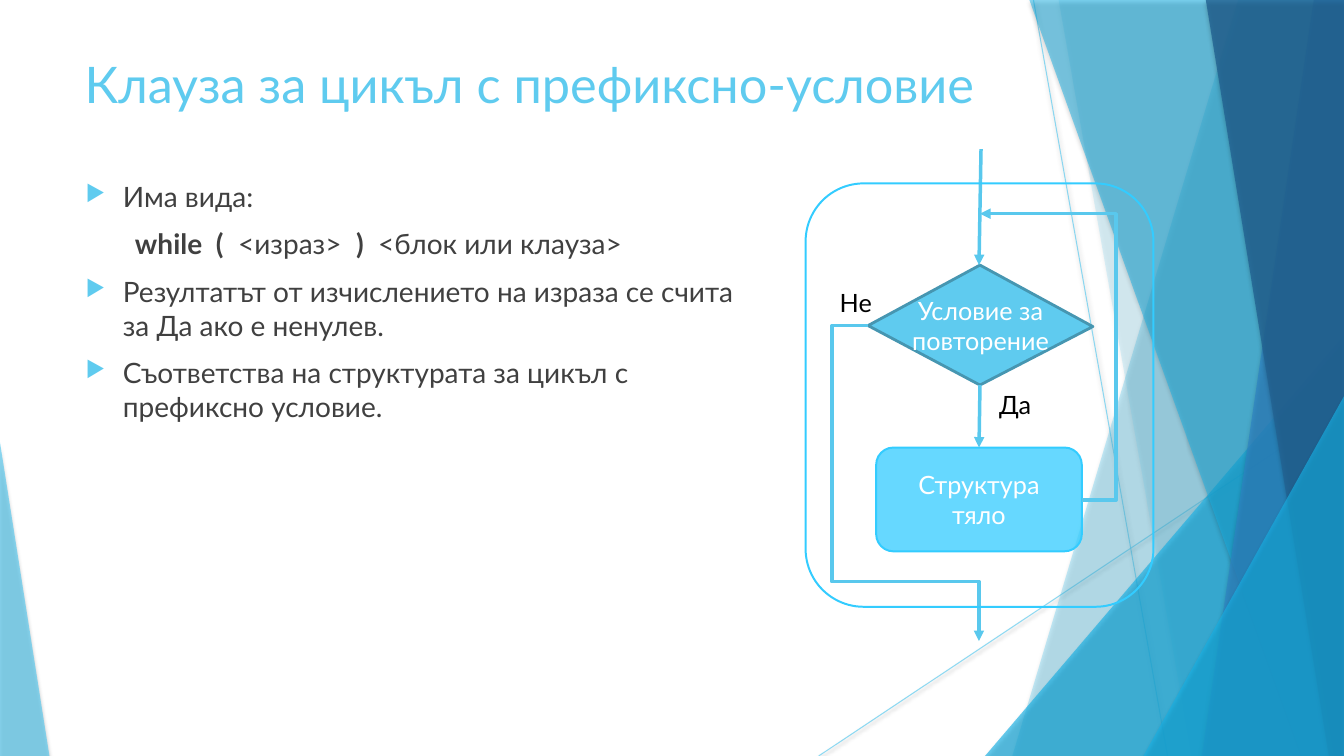
"""Build a slide on the pre-condition loop clause with its flowchart."""
from lxml import etree
from pptx import Presentation
from pptx.dml.color import RGBColor
from pptx.enum.shapes import MSO_CONNECTOR, MSO_SHAPE
from pptx.enum.text import MSO_ANCHOR, PP_ALIGN
from pptx.oxml.ns import qn
from pptx.util import Inches, Pt

STRAIGHT = MSO_CONNECTOR.STRAIGHT
TRIANGLE = MSO_SHAPE.ISOSCELES_TRIANGLE
ROUNDED = MSO_SHAPE.ROUNDED_RECTANGLE
MIDDLE, TOP = MSO_ANCHOR.MIDDLE, MSO_ANCHOR.TOP
CENTER, LEFT = PP_ALIGN.CENTER, PP_ALIGN.LEFT

SKY = RGBColor(0x5F, 0xCB, 0xEF)
CYAN = RGBColor(0x17, 0xB0, 0xE4)
BLUE = RGBColor(0x2E, 0x83, 0xC3)
NAVY = RGBColor(0x22, 0x62, 0x92)
FLOW = RGBColor(0x59, 0xC8, 0xED)
FRAME = RGBColor(0x33, 0xCC, 0xFF)
EDGE = RGBColor(0x46, 0x96, 0xB1)
GRAY = RGBColor(0x40, 0x40, 0x40)
BLACK = RGBColor(0, 0, 0)
WHITE = RGBColor(0xFF, 0xFF, 0xFF)
FONT = "Lato"


def dress(shape, fill=None, line=None, width=0, alpha=100, shadow=None, arrow=False):
    """Set fill, line, opacity, arrowhead and shadow of a shape or connector."""
    properties = shape._element.spPr
    if hasattr(shape, "fill"):
        if fill is None:
            shape.fill.background()
        else:
            shape.fill.solid()
            shape.fill.fore_color.rgb = fill
    if line is None:
        shape.line.fill.background()
    else:
        shape.line.color.rgb = line
        shape.line.width = Pt(width)
    if alpha < 100:
        color = properties.find(".//" + qn("a:srgbClr"))
        etree.SubElement(color, qn("a:alpha"), val=str(alpha * 1000))
    if arrow:
        etree.SubElement(properties.find(qn("a:ln")), qn("a:tailEnd"), type="triangle")
    effects = etree.SubElement(properties, qn("a:effectLst"))
    if shadow:
        opacity, blur, distance = shadow
        outer = etree.SubElement(
            effects, qn("a:outerShdw"), blurRad=str(Pt(blur)), dist=str(Pt(distance)),
            dir="5400000", rotWithShape="0")
        color = etree.SubElement(outer, qn("a:srgbClr"), val="000000")
        etree.SubElement(color, qn("a:alpha"), val=str(opacity * 1000))


def write(shape, text, size, color, align=LEFT, anchor=TOP):
    """Put one paragraph of text into a shape."""
    frame = shape.text_frame
    frame.word_wrap = True
    frame.vertical_anchor = anchor
    para = frame.paragraphs[0]
    para.text = text
    para.alignment = align
    para.font.size = Pt(size)
    para.font.name = FONT
    para.font.color.rgb = color


deck = Presentation()
deck.slide_width, deck.slide_height = Inches(13.33), Inches(7.5)
page = deck.slides.add_slide(deck.slide_layouts[6])
shapes = page.shapes

for ends in [(10.25, 0, 11.58, 7.5), (13.33, 4.03, 8.12, 7.5)]:
    ray = shapes.add_connector(STRAIGHT, *map(Inches, ends))
    dress(ray, line=SKY, width=0.75, alpha=70, shadow=(38, 3.1, 1.6))

facets = [
    ("band", (12.28, 10.04), SKY, 36),
    ("band", (10.5, 11.82), SKY, 20),
    ("triangle", (9.77, 3.33, 3.56, 4.17, 1), CYAN, 66),
    ("band", (10.21, 12.91), CYAN, 50),
    ("band", (13.03, 11.92), BLUE, 70),
    ("band", (11.96, 13.18), NAVY, 80),
    ("triangle", (11.34, 3.93, 1.99, 3.57, 1), CYAN, 66),
    ("triangle", (0, 4.39, 0.49, 3.11, 0), SKY, 70),
]
for kind, numbers, color, alpha in facets:
    if kind == "band":
        upper, lower = numbers
        outline = shapes.build_freeform(Inches(upper), 0)
        corners = [(13.33, 0), (13.33, 7.5), (lower, 7.5)]
        outline.add_line_segments([(Inches(x), Inches(y)) for x, y in corners], close=True)
        facet = outline.convert_to_shape()
    else:
        *bounds, apex = numbers
        facet = shapes.add_shape(TRIANGLE, *map(Inches, bounds))
        facet.adjustments[0] = apex
    dress(facet, fill=color, alpha=alpha, shadow=(35, 3, 2))

title = shapes.add_textbox(Inches(0.74), Inches(0.48), Inches(9.4), Inches(0.96))
write(title, "Клауза за цикъл с префиксно-условие", 36, SKY)

body = shapes.add_textbox(Inches(0.74), Inches(1.73), Inches(6.68), Inches(5.37))
body.text_frame.word_wrap = True
points = [
    (True, [("Има вида:", False)]),
    (False, [("\t", False), ("while  (", True), ("  <израз>  ", False), (")", True),
             ("  <блок или клауза>", False)]),
    (True, [("Резултатът от изчислението на израза се счита за Да ако е ненулев.", False)]),
    (True, [("Съответства на структурата за цикъл с префиксно условие.", False)]),
]
for index, (bulleted, pieces) in enumerate(points):
    para = body.text_frame.paragraphs[0] if index == 0 else body.text_frame.add_paragraph()
    para.space_before = Pt(10)
    para.font.size = Pt(20)
    para.font.name = FONT
    para.font.color.rgb = GRAY
    for text, bold in pieces:
        span = para.add_run()
        span.text = text
        span.font.bold = bold
    if bulleted:
        settings = para._p.get_or_add_pPr()
        settings.set("marL", str(Inches(0.38)))
        settings.set("indent", str(Inches(-0.37)))
        bullet_color = etree.Element(qn("a:buClr"))
        etree.SubElement(bullet_color, qn("a:srgbClr"), val=str(SKY))
        bullet_size = etree.Element(qn("a:buSzPct"), val="80000")
        bullet = etree.Element(qn("a:buChar"), char="▶")
        position = settings.index(settings.find(qn("a:defRPr")))
        settings[position:position] = [bullet_color, bullet_size, bullet]

outline = shapes.build_freeform(Inches(8.61), Inches(3.23))
corners = [(9.72, 2.63), (10.84, 3.24), (9.72, 3.82)]
outline.add_line_segments([(Inches(x), Inches(y)) for x, y in corners], close=True)
condition = outline.convert_to_shape()
dress(condition, fill=SKY, line=EDGE, width=2)
write(condition, "Условие за повторение", 18, WHITE, CENTER, MIDDLE)

for text, left, top in [("Не", 8.23, 2.8), ("Да", 9.81, 3.81)]:
    label = shapes.add_textbox(Inches(left), Inches(top), Inches(0.58), Inches(0.4))
    write(label, text, 18, BLACK)

loop_body = shapes.add_shape(ROUNDED, Inches(8.69), Inches(4.44), Inches(2.04), Inches(1.03))
dress(loop_body, fill=FRAME, line=FRAME, width=1.42, alpha=75)
write(loop_body, "Структура тяло", 18, WHITE, CENTER, MIDDLE)

for ends in [(9.73, 1.48, 9.71, 2.63), (9.72, 3.82, 9.71, 4.44)]:
    arrow = shapes.add_connector(STRAIGHT, *map(Inches, ends))
    dress(arrow, line=FLOW, width=2.5, arrow=True)

exit_route = [(8.61, 3.23), (8.25, 3.23), (8.25, 5.77), (9.71, 5.77), (9.71, 6.36)]
return_route = [(10.73, 4.96), (11.07, 4.96), (11.07, 2.12), (9.72, 2.12)]
for route in (exit_route, return_route):
    start, *turns = [(Inches(x), Inches(y)) for x, y in route]
    outline = shapes.build_freeform(*start)
    outline.add_line_segments(turns, close=False)
    dress(outline.convert_to_shape(), line=FLOW, width=2.5, arrow=True)

frame = shapes.add_shape(ROUNDED, Inches(7.99), Inches(1.82), Inches(3.45), Inches(4.2))
dress(frame, line=FRAME, width=1.42)

deck.save("out.pptx")
